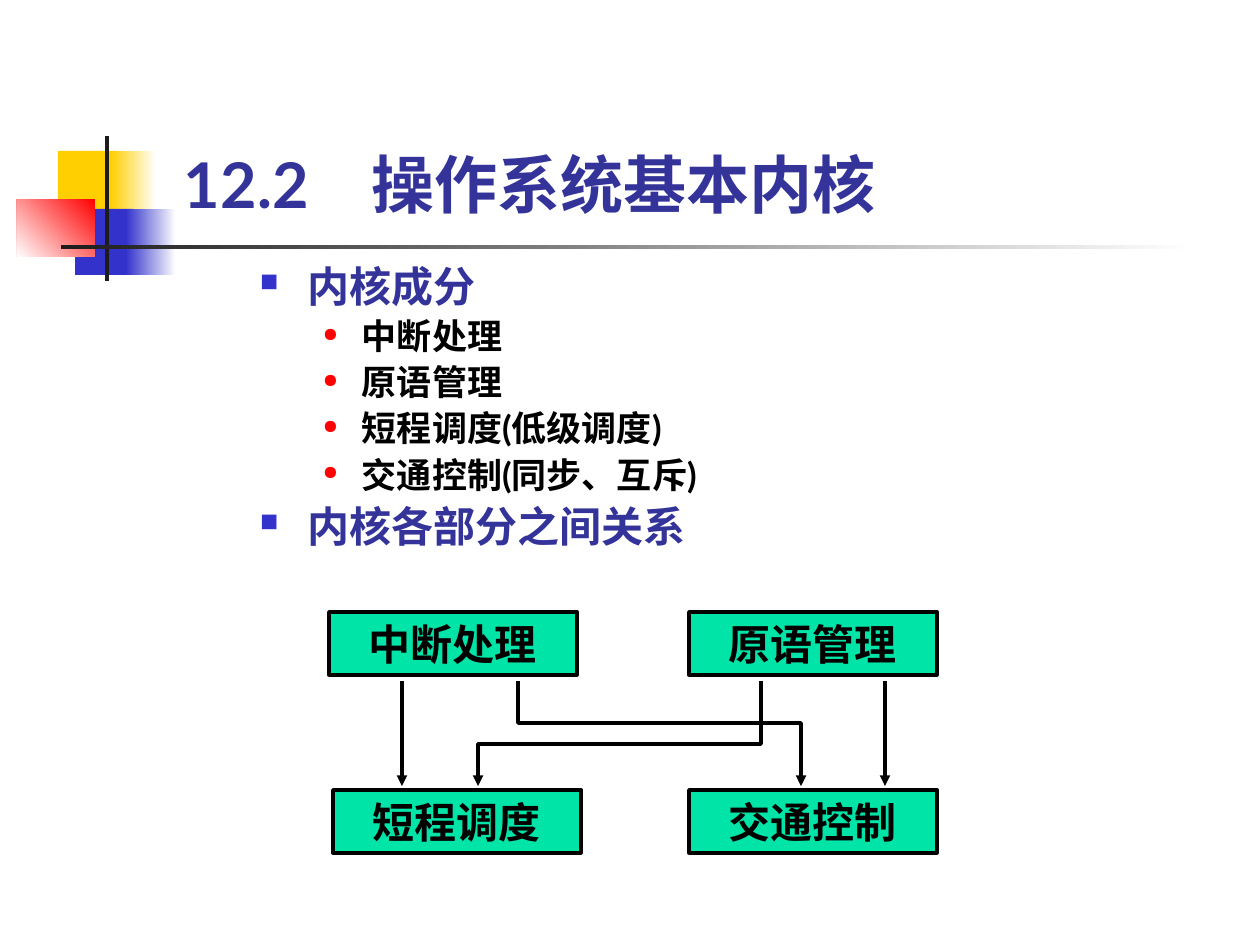
from lxml import etree
from pptx import Presentation
from pptx.dml.color import RGBColor as RGB
from pptx.enum.shapes import MSO_CONNECTOR as CONN, MSO_SHAPE as SHAPE
from pptx.enum.text import MSO_ANCHOR as ANCHOR, MSO_AUTO_SIZE as AUTO, PP_ALIGN as ALIGN
from pptx.oxml.ns import qn
from pptx.util import Emu, Pt

PX = 914400 / 126
WHITE, BLACK = RGB(255, 255, 255), RGB(0, 0, 0)
YELLOW, BLUE, RED = RGB(0xFF, 0xCF, 0x01), RGB(0x33, 0x33, 0xCC), RGB(0xFF, 0, 0)
DARK, NAVY, GREEN = RGB(0x1C, 0x1C, 0x1C), RGB(0x33, 0x33, 0x99), RGB(0, 0xE4, 0xA8)


def px(*values):
    return [Emu(round(v * PX)) for v in values]


class Deck:
    """Holds the style and the current slide, and draws each kind of element."""

    def __init__(self):
        self.heading_font, self.box_font = "Lato", "Times New Roman"
        self.line_width = Pt(2)
        self.prs = Presentation()
        self.prs.slide_width, self.prs.slide_height = px(1260, 945)
        self.s = self.prs.slides.add_slide(self.prs.slide_layouts[6])

    def rect(self, x, y, w, h, color):
        sp = self.s.shapes.add_shape(SHAPE.RECTANGLE, *px(x, y, w, h))
        sp.shadow.inherit = False
        sp.fill.solid()
        sp.fill.fore_color.rgb = color
        sp.line.fill.background()
        return sp

    def gradient(self, x, y, w, h, start, end, angle=180):
        fill = self.rect(x, y, w, h, start).fill
        fill.gradient()
        fill.gradient_angle = angle
        for stop, color in zip(fill.gradient_stops, (start, end)):
            stop.color.rgb = color

    def run(self, p, text, size, color, font):
        r = p.add_run()
        r.text = text
        r.font.size, r.font.bold, r.font.name = Pt(size), True, font
        r.font.color.rgb = color

    def text_frame(self, x, y, w, h, anchor):
        tf = self.s.shapes.add_textbox(*px(x, y, w, h)).text_frame
        tf.word_wrap, tf.vertical_anchor = True, anchor
        tf.margin_left = tf.margin_top = tf.margin_right = tf.margin_bottom = 0
        return tf

    def title(self, x, y, w, h, text):
        tf = self.text_frame(x, y, w, h, ANCHOR.BOTTOM)
        self.run(tf.paragraphs[0], text, 36, NAVY, self.heading_font)

    def bullet(self, p, char, color, percent, left, hanging):
        pPr = p._p.get_or_add_pPr()
        margin, indent = px(left, -hanging)
        pPr.set("marL", str(margin))
        pPr.set("indent", str(indent))
        clr = etree.SubElement(pPr, qn("a:buClr"))
        etree.SubElement(clr, qn("a:srgbClr")).set("val", str(color))
        etree.SubElement(pPr, qn("a:buSzPct")).set("val", str(percent * 1000))
        etree.SubElement(pPr, qn("a:buChar")).set("char", char)

    def outline(self, x, y, w, h, items):
        tf = self.text_frame(x, y, w, h, ANCHOR.TOP)
        for i, (level, text) in enumerate(items):
            p = tf.add_paragraph() if i else tf.paragraphs[0]
            p.level, p.line_spacing = level, 1.1
            if level:
                self.bullet(p, "●", RED, 55, 102, 39)
                self.run(p, text, 20, BLACK, self.heading_font)
            else:
                self.bullet(p, "■", BLUE, 60, 48, 48)
                self.run(p, text, 24, NAVY, self.heading_font)

    def box(self, x, y, text):
        sp = self.rect(x, y, 248, 63, GREEN)
        self.stroke(sp)
        tf = sp.text_frame
        tf.word_wrap, tf.auto_size = True, AUTO.SHAPE_TO_FIT_TEXT
        tf.vertical_anchor = ANCHOR.MIDDLE
        p = tf.paragraphs[0]
        p.alignment = ALIGN.CENTER
        self.run(p, text, 24, BLACK, self.box_font)

    def stroke(self, sp, arrow=False):
        sp.line.color.rgb = BLACK
        sp.line.width = self.line_width
        if arrow:
            ln = sp.line._get_or_add_ln()
            etree.SubElement(ln, qn("a:tailEnd")).set("type", "triangle")

    def arrow(self, x, top, bottom):
        sp = self.s.shapes.add_connector(CONN.STRAIGHT, *px(x, top, x, bottom))
        self.stroke(sp, arrow=True)
        etree.SubElement(sp._element.spPr, qn("a:effectLst"))

    def elbow(self, x1, x2, top, turn, bottom):
        path = self.s.shapes.build_freeform(x1, top, scale=PX)
        path.add_line_segments([(x1, turn), (x2, turn), (x2, bottom)], close=False)
        sp = path.convert_to_shape()
        sp.shadow.inherit = False
        sp.fill.background()
        self.stroke(sp, arrow=True)


def main():
    d = Deck()
    d.rect(58, 151, 60, 66, YELLOW)
    d.gradient(111, 151, 45, 66, WHITE, YELLOW)
    d.rect(75, 209, 58, 66, BLUE)
    d.gradient(126, 209, 50, 66, WHITE, BLUE)
    d.gradient(17, 199, 78, 58, RED, WHITE, 225)
    d.rect(105, 136, 4, 145, DARK)
    d.gradient(61, 245, 1134, 4, WHITE, DARK)

    d.title(184, 145, 725, 76, "12.2　操作系统基本内核")
    d.outline(260, 255, 566, 323, [
        (0, "内核成分"),
        (1, "中断处理"),
        (1, "原语管理"),
        (1, "短程调度(低级调度)"),
        (1, "交通控制(同步、互斥)"),
        (0, "内核各部分之间关系"),
    ])

    upper, lower, top, bottom = 612, 790, 681, 786
    d.box(329, upper, "中断处理")
    d.box(689, upper, "原语管理")
    d.box(333, lower, "短程调度")
    d.box(689, lower, "交通控制")
    for x in (402, 885):
        d.arrow(x, top, bottom)
    d.elbow(518, 801, top, 723, bottom)
    d.elbow(761, 478, top, 744, bottom)
    d.prs.save("out.pptx")


if __name__ == "__main__":
    main()
